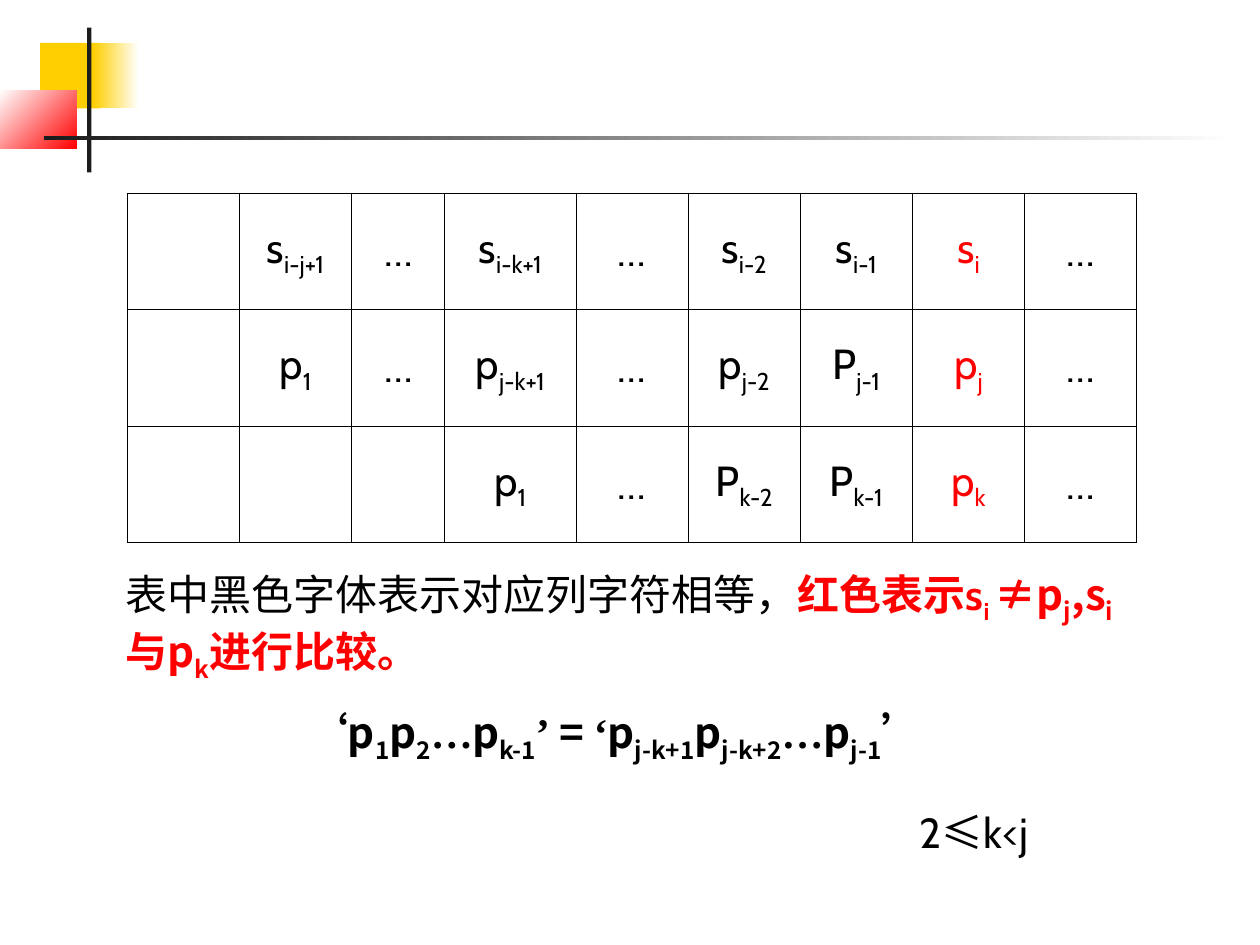
"""Build the slide that compares string and pattern positions in KMP matching."""
import lxml.etree
import pptx
import pptx.dml.color
import pptx.enum.shapes
import pptx.enum.text
import pptx.oxml.ns
import pptx.util

Pt = pptx.util.Pt
qn = pptx.oxml.ns.qn

COLORS = {"black": "000000", "white": "FFFFFF", "red": "FF0000",
          "yellow": "FFCF01", "ink": "1C1C1C"}
LATIN, CJK, SERIF = "Cabin", "Noto Sans CJK SC", "Times New Roman"
TEXT_SIZE = 24
SUBSCRIPT = "-25000"

ORNAMENTS = [
    ((23, 24.5, 34.5, 37.5), ("yellow",), 0),
    ((53.3, 24.5, 26, 37.5), ("yellow", "white"), 0),
    ((0, 51.8, 44, 33.1), ("white", "red"), 315),
    ((49.8, 15.8, 2.5, 82.8), ("ink",), 0),
    ((25.2, 77.8, 680.4, 2.5), ("ink", "white"), 0),
]

TABLE_LEFT, TABLE_TOP = 72.7, 110.2
COLUMN_WIDTHS = [64.1, 64.1, 53.3, 74.9] + [64.1] * 5
ROW_HEIGHT = 66.6
MISMATCH_COLUMN = 7
ELLIPSIS = ("…", "")
BLANK = ("", "")
ALIGNMENT = [
    [BLANK, ("s", "i-j+1"), ELLIPSIS, ("s", "i-k+1"), ELLIPSIS,
     ("s", "i-2"), ("s", "i-1"), ("s", "i"), ELLIPSIS],
    [BLANK, ("p", "1"), ELLIPSIS, ("p", "j-k+1"), ELLIPSIS,
     ("p", "j-2"), ("P", "j-1"), ("p", "j"), ELLIPSIS],
    [BLANK, BLANK, BLANK, ("p", "1"), ELLIPSIS,
     ("P", "k-2"), ("P", "k-1"), ("p", "k"), ELLIPSIS],
]

EXPLANATION = [
    ("表中黑色字体表示对应列字符相等，", "", LATIN, "black", False),
    ("红色表示s", "i ", LATIN, "red", True),
    ("≠p", "j", CJK, "red", True),
    (",s", "i", CJK, "red", True),
    ("与p", "k", CJK, "red", True),
    ("进行比较", "", CJK, "red", True),
    ("。", "", LATIN, "red", True),
]
EQUATION = [(base, index, font, "black", True) for base, index, font in [
    ("‘p", "1", CJK), ("p", "2", CJK), ("…", "", SERIF), ("p", "k-1", CJK),
    ("’", "", SERIF), (" = ", "", CJK), ("‘", "", SERIF),
    ("p", "j-k+1", CJK), ("p", "j-k+2", CJK), ("…", "", SERIF),
    ("p", "j-1", CJK), ("’", "", CJK),
]]
RANGE = [(text, "", font, "black", False)
         for text, font in [("2", LATIN), ("≤", CJK), ("k<j", LATIN)]]
PASSAGES = [
    ((64.8, 321.1, 595.4, 72.7), EXPLANATION, True),
    ((167.8, 400.3, 407.5, 40.3), EQUATION, False),
    ((518.4, 457.2, 90.7, 36), RANGE, True),
]


def rgb(name):
    return pptx.dml.color.RGBColor.from_string(COLORS[name])


def write_terms(paragraph, terms):
    for base, index, face, color, bold in terms:
        for text, lowered in ((base, False), (index, True)):
            if not text:
                continue
            run = paragraph.add_run()
            run.text = text
            font = run.font
            font.size, font.bold, font.name = Pt(TEXT_SIZE), bold, face
            font.color.rgb = rgb(color)
            properties = run._r.get_or_add_rPr()
            east_asian = lxml.etree.Element(qn("a:ea"))
            east_asian.set("typeface", CJK if face == LATIN else face)
            properties.find(qn("a:latin")).addnext(east_asian)
            if lowered:
                properties.set("baseline", SUBSCRIPT)


def add_ornament(slide, box, colors, angle):
    ornament = slide.shapes.add_shape(
        pptx.enum.shapes.MSO_SHAPE.RECTANGLE, *map(Pt, box))
    ornament.shadow.inherit = False
    ornament.line.fill.background()
    if len(colors) == 1:
        ornament.fill.solid()
        ornament.fill.fore_color.rgb = rgb(colors[0])
        return
    ornament.fill.gradient()
    ornament.fill.gradient_angle = angle
    for stop, color in zip(ornament.fill.gradient_stops, colors):
        stop.color.rgb = rgb(color)


def add_borders(cell):
    properties = cell._tc.get_or_add_tcPr()
    for side in ("a:lnL", "a:lnR", "a:lnT", "a:lnB"):
        border = lxml.etree.SubElement(properties, qn(side), w=str(Pt(0.45)))
        fill = lxml.etree.SubElement(border, qn("a:solidFill"))
        lxml.etree.SubElement(fill, qn("a:srgbClr"), val=COLORS["black"])


def add_alignment_table(slide):
    table = slide.shapes.add_table(
        len(ALIGNMENT), len(COLUMN_WIDTHS), Pt(TABLE_LEFT), Pt(TABLE_TOP),
        Pt(sum(COLUMN_WIDTHS)), Pt(ROW_HEIGHT * len(ALIGNMENT))).table
    table.first_row = table.horz_banding = False
    for column, width in zip(table.columns, COLUMN_WIDTHS):
        column.width = Pt(width)
    for row_number, symbols in enumerate(ALIGNMENT):
        table.rows[row_number].height = Pt(ROW_HEIGHT)
        for column_number, (base, index) in enumerate(symbols):
            cell = table.cell(row_number, column_number)
            add_borders(cell)
            cell.fill.solid()
            cell.fill.fore_color.rgb = rgb("white")
            cell.vertical_anchor = pptx.enum.text.MSO_ANCHOR.MIDDLE
            paragraph = cell.text_frame.paragraphs[0]
            paragraph.alignment = pptx.enum.text.PP_ALIGN.CENTER
            color = "red" if column_number == MISMATCH_COLUMN else "black"
            write_terms(paragraph, [(base, index, LATIN, color, False)])


def main():
    deck = pptx.Presentation()
    deck.slide_width, deck.slide_height = Pt(720), Pt(540)
    slide = deck.slides.add_slide(deck.slide_layouts[6])
    for box, colors, angle in ORNAMENTS:
        add_ornament(slide, box, colors, angle)
    add_alignment_table(slide)
    for box, terms, wraps in PASSAGES:
        frame = slide.shapes.add_textbox(*map(Pt, box)).text_frame
        frame.word_wrap = wraps
        write_terms(frame.paragraphs[0], terms)
    deck.save("out.pptx")


if __name__ == "__main__":
    main()
